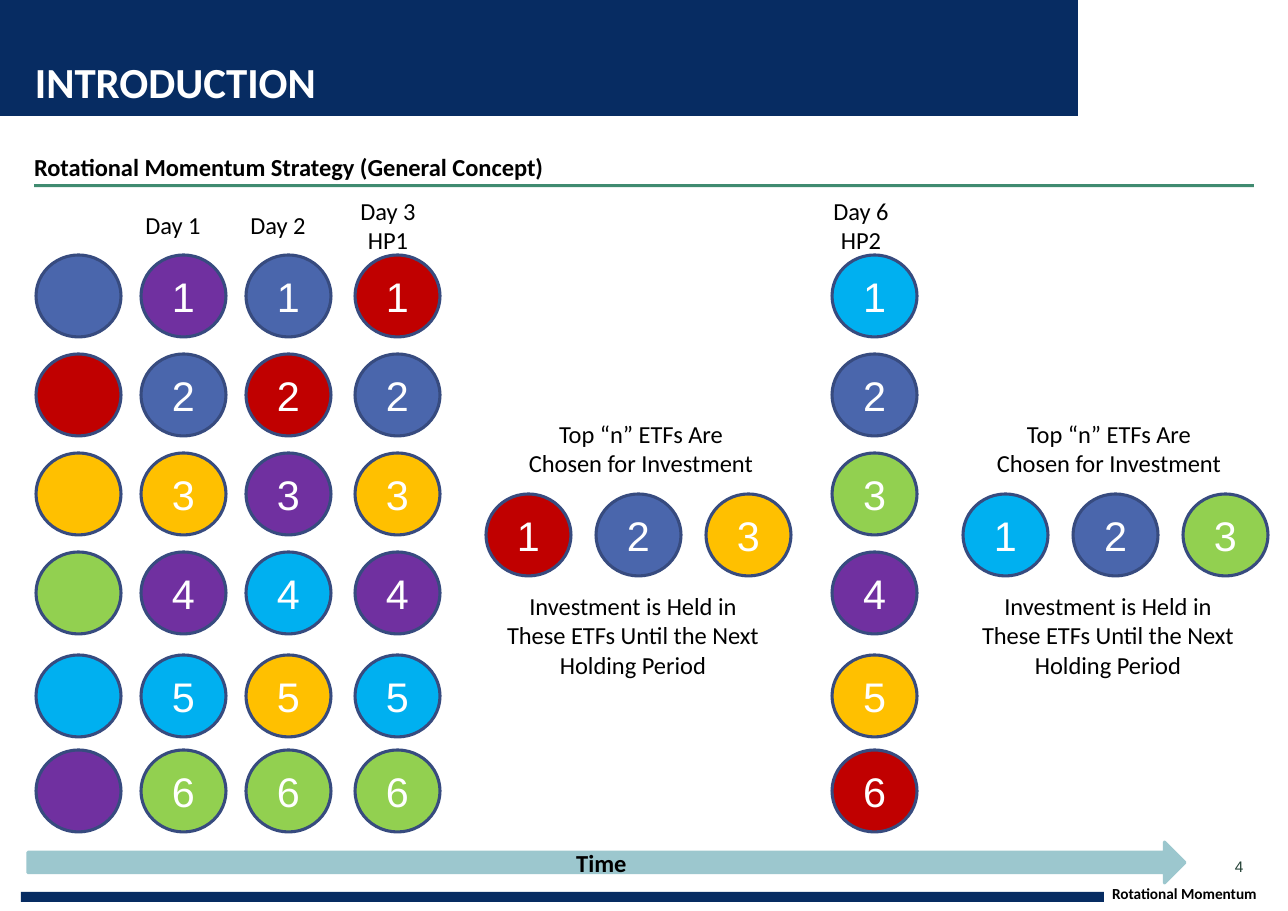
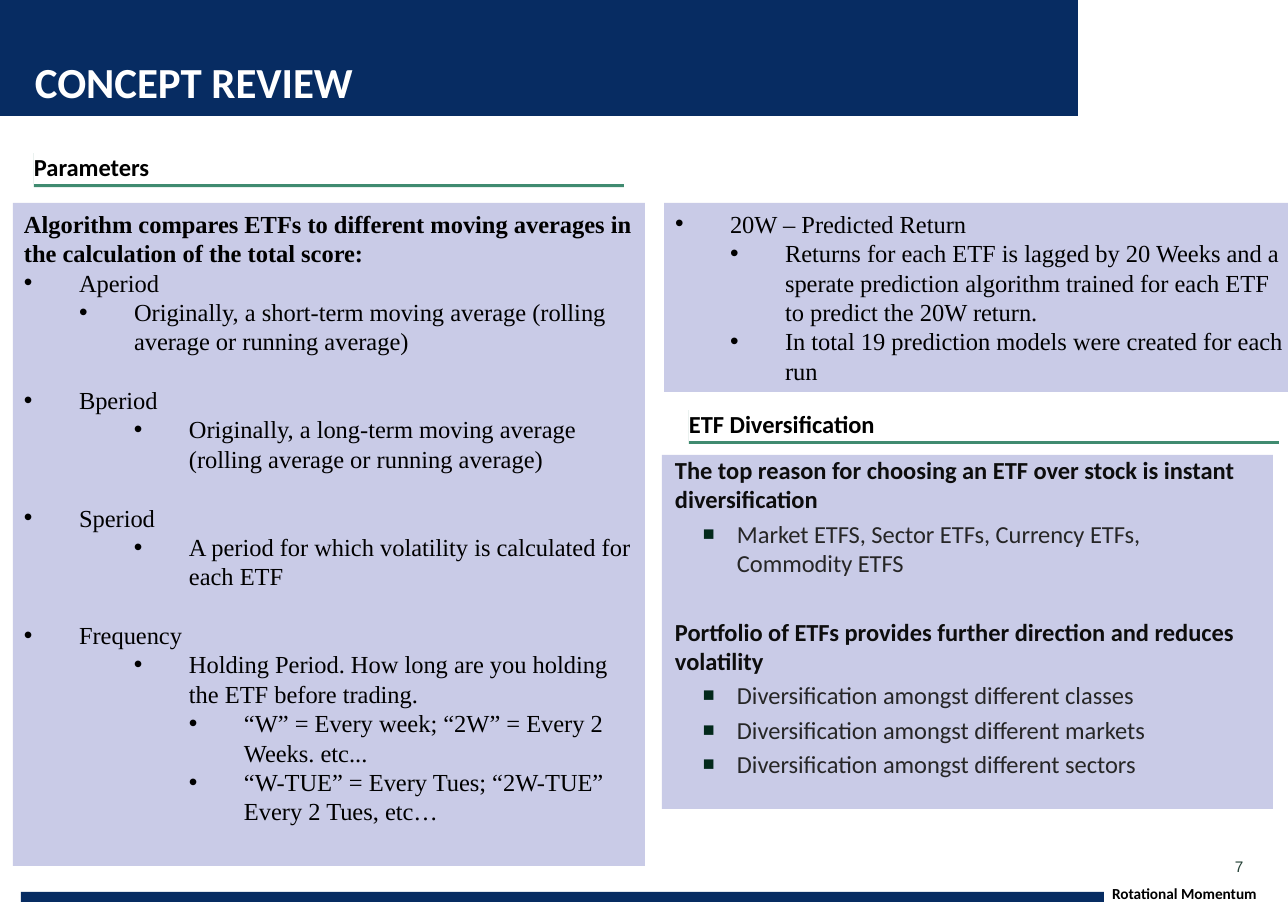
import pptx
import pptx.dml.color
import pptx.enum.shapes
import pptx.enum.text
import pptx.oxml
import pptx.oxml.ns
import pptx.util

PX = 8298  # EMU in one px
SHAPE = pptx.enum.shapes.MSO_SHAPE
ALIGN = pptx.enum.text.PP_ALIGN
ANCHOR = pptx.enum.text.MSO_ANCHOR

COLOURS = {
    "navy": "072C62", "white": "FFFFFF", "black": "000000", "rule": "408B70",
    "page number": "234035", "panel": "C9CBE7", "arrow": "9CC7CE",
    "outline": "374B7F", "strong": "0D0D0D", "soft": "262626", "square": "02291B",
    "blue": "4A66AC", "red": "C00000", "yellow": "FFC000",
    "green": "92D050", "cyan": "00B0F0", "purple": "7030A0",
}

CIRCLE_WIDTH, CIRCLE_HEIGHT = 85, 82
ROW_TOPS = (255, 354, 453, 552, 655, 750)
PICK_TOP, PICK_STEP = 494, 110
SERIF_LINE = 19.2
INDENT = 55


def px(length):
    return pptx.util.Emu(length * PX)


def rgb(name):
    return pptx.dml.color.RGBColor.from_string(COLOURS[name])


def add_bullet(para, mark, colour, percent):
    properties = para._p.get_or_add_pPr()
    namespace = pptx.oxml.ns.nsdecls("a")
    for xml in (
        f'<a:buClr {namespace}><a:srgbClr val="{COLOURS[colour]}"/></a:buClr>',
        f'<a:buSzPct {namespace} val="{percent * 1000}"/>',
        f'<a:buFont {namespace} typeface="Arial"/>',
        f'<a:buChar {namespace} char="{mark}"/>',
    ):
        properties.append(pptx.oxml.parse_xml(xml))


def write(box, text, *, size=16, font="Calibri", colour="black", bold=False,
          align=ALIGN.LEFT, before=0, line=None, left=0, hang=0,
          bullet=None, bullet_colour="black", bullet_percent=100):
    """Add one paragraph; the first call fills the paragraph already there."""
    frame = box.text_frame
    para = frame.add_paragraph() if frame.text else frame.paragraphs[0]
    if bullet:
        add_bullet(para, bullet, bullet_colour, bullet_percent)
    properties = para._p.get_or_add_pPr()
    properties.set("marL", str(px(left)))
    properties.set("indent", str(px(-hang)))
    para.alignment = align
    para.space_before = pptx.util.Pt(before)
    if line:
        para.line_spacing = line
    span = para.add_run()
    span.text = text
    span.font.size = pptx.util.Pt(size)
    span.font.name = font
    span.font.bold = bold
    span.font.color.rgb = rgb(colour)


def set_frame(box, inset, anchor, wrap=True):
    frame = box.text_frame
    frame.word_wrap = wrap
    frame.vertical_anchor = anchor
    (frame.margin_left, frame.margin_top,
     frame.margin_right, frame.margin_bottom) = map(px, inset)


def add_box(page, left, top, width, height, *, inset=(0, 0, 0, 0),
            anchor=ANCHOR.TOP, wrap=True):
    box = page.shapes.add_textbox(*map(px, (left, top, width, height)))
    set_frame(box, inset, anchor, wrap)
    return box


def add_figure(page, kind, left, top, width, height, fill, *, line=None,
               inset=(0, 0, 0, 0), anchor=ANCHOR.MIDDLE):
    figure = page.shapes.add_shape(kind, *map(px, (left, top, width, height)))
    figure.shadow.inherit = False
    figure.fill.solid()
    figure.fill.fore_color.rgb = rgb(fill)
    if line:
        figure.line.color.rgb = rgb(line)
        figure.line.width = pptx.util.Pt(2)
    else:
        figure.line.fill.background()
    set_frame(figure, inset, anchor)
    return figure


def add_page(deck, title, number):
    """Add a blank page with the band, title, footer and page number."""
    page = deck.slides.add_slide(deck.slide_layouts[6])
    add_figure(page, SHAPE.RECTANGLE, 0, 0, 1078, 116, "navy")
    add_figure(page, SHAPE.RECTANGLE, 21, 892, 1083, 10, "navy")
    footer = add_box(page, 1112, 884, 176, 19, anchor=ANCHOR.BOTTOM)
    write(footer, "Rotational Momentum", size=10, bold=True)
    heading = add_box(page, 35, 55, 1040, 52, anchor=ANCHOR.BOTTOM)
    write(heading, title, size=28, bold=True, colour="white")
    corner = add_box(page, 1235, 857, 19, 19, anchor=ANCHOR.MIDDLE, wrap=False)
    write(corner, str(number), size=10, font="Arial", colour="page number")
    return page


def add_heading(page, text, left, top, width):
    """Add a section heading whose hard shadow forms the green rule."""
    heading = add_figure(page, SHAPE.RECTANGLE, left, top, width, 34, "white",
                         inset=(0, 0, 0, 3), anchor=ANCHOR.BOTTOM)
    effects = heading._element.spPr.find(pptx.oxml.ns.qn("a:effectLst"))
    effects.append(pptx.oxml.parse_xml(
        f'<a:outerShdw {pptx.oxml.ns.nsdecls("a")} dist="25400" dir="5400000" '
        f'algn="ctr" rotWithShape="0"><a:srgbClr val="{COLOURS["rule"]}"/></a:outerShdw>'))
    write(heading, text, bold=True, line=1.1)


def add_circle(page, left, top, fill, rank=None):
    circle = add_figure(page, SHAPE.OVAL, left, top, CIRCLE_WIDTH, CIRCLE_HEIGHT,
                        fill, line="outline")
    if rank:
        write(circle, str(rank), size=27, font="Arial", colour="white",
              align=ALIGN.CENTER)


def add_ranking(page, left, fills, numbered=True):
    for rank, (top, fill) in enumerate(zip(ROW_TOPS, fills), 1):
        add_circle(page, left, top, fill, rank if numbered else None)


def add_caption(page, centre, top, lines):
    width = 284
    box = add_box(page, centre - width // 2, top, width, 11 + 30 * len(lines),
                  inset=(11, 6, 11, 6), wrap=False)
    for text in lines:
        write(box, text, align=ALIGN.CENTER)


def add_picks(page, left, fills, chosen_centre, held_centre):
    """Show the three best funds between their two captions."""
    for place, fill in enumerate(fills[:3]):
        add_circle(page, left + place * PICK_STEP, PICK_TOP, fill, place + 1)
    add_caption(page, chosen_centre, 413,
                ("Top “n” ETFs Are", "Chosen for Investment"))
    add_caption(page, held_centre, 585,
                ("Investment is Held in", "These ETFs Until the Next", "Holding Period"))


def add_panel(page, left, top, width, height, inset):
    return add_figure(page, SHAPE.RECTANGLE, left, top, width, height, "panel",
                      inset=inset, anchor=ANCHOR.TOP)


def write_outline(panel, items):
    """Write (depth, text) items in serif; depth 0 is a bold lead.

    A depth 1 item after deeper ones starts a group, set off by one line.
    """
    previous = 0
    for depth, text in items:
        write(panel, text, font="Times New Roman", bold=depth == 0,
              line=pptx.util.Pt(SERIF_LINE),
              before=SERIF_LINE if depth == 1 and previous > 1 else 0,
              left=depth * INDENT, hang=INDENT if depth else 0,
              bullet="•" if depth else None)
        previous = depth


def write_reasons(panel, reasons):
    for number, (lead, points) in enumerate(reasons):
        write(panel, lead, bold=True, colour="strong", before=25.8 if number else 0)
        for point in points:
            write(panel, point, colour="soft", before=3.2, left=62, hang=34,
                  bullet="■", bullet_colour="square", bullet_percent=80)


def build_introduction(deck):
    page = add_page(deck, "INTRODUCTION", 4)
    add_heading(page, "Rotational Momentum Strategy (General Concept)", 34, 150, 1220)
    funds = ("blue", "red", "yellow", "green", "cyan", "purple")
    day_1 = ("purple", "blue", "yellow", "purple", "cyan", "green")
    day_2 = ("blue", "red", "purple", "cyan", "yellow", "green")
    day_3 = ("red", "blue", "yellow", "purple", "cyan", "green")
    day_6 = ("cyan", "blue", "green", "purple", "yellow", "red")
    add_ranking(page, 36, funds, numbered=False)
    for left, fills, centre, top, label in (
        (141, day_1, 173, 204, ("Day 1",)),
        (246, day_2, 278, 204, ("Day 2",)),
        (355, day_3, 388, 190, ("Day 3", "HP1")),
        (832, day_6, 861, 190, ("Day 6", "HP2")),
    ):
        add_ranking(page, left, fills)
        add_caption(page, centre, top, label)
    add_picks(page, 486, day_3, 641, 633)
    add_picks(page, 963, day_6, 1109, 1108)
    arrow = add_figure(page, SHAPE.RIGHT_ARROW, 28, 842, 1157, 41, "arrow", line="arrow")
    write(arrow, "Time", bold=True, align=ALIGN.CENTER)


def build_review(deck):
    page = add_page(deck, "CONCEPT REVIEW", 7)
    add_heading(page, "Parameters", 34, 150, 590)
    add_heading(page, "ETF Diversification", 689, 407, 590)
    write_outline(add_panel(page, 13, 203, 632, 663, (11, 6, 11, 6)), (
        (0, "Algorithm compares ETFs to different moving averages in the "
            "calculation of the total score:"),
        (1, "Aperiod"),
        (2, "Originally, a short-term moving average (rolling average or running average)"),
        (1, "Bperiod"),
        (3, "Originally, a long-term moving average (rolling average or running average)"),
        (1, "Speriod"),
        (3, "A period for which volatility is calculated for each ETF"),
        (1, "Frequency"),
        (3, "Holding Period. How long are you holding the ETF before trading."),
        (4, "“W” = Every week; “2W” = Every 2 Weeks. etc..."),
        (4, "“W-TUE” = Every Tues; “2W-TUE” Every 2 Tues, etc…"),
    ))
    write_outline(add_panel(page, 664, 203, 624, 189, (11, 6, 3, 6)), (
        (1, "20W – Predicted Return"),
        (2, "Returns for each ETF is lagged by 20 Weeks and a sperate prediction "
            "algorithm trained for each ETF to predict the 20W return."),
        (2, "In total 19 prediction models were created for each run"),
    ))
    write_reasons(add_panel(page, 662, 455, 611, 354, (13, 0, 13, 0)), (
        ("The top reason for choosing an ETF over stock is instant diversification",
         ("Market ETFS, Sector ETFs, Currency ETFs, Commodity ETFS",)),
        ("Portfolio of ETFs provides further direction and reduces volatility",
         tuple(f"Diversification amongst different {kind}"
               for kind in ("classes", "markets", "sectors"))),
    ))


def main():
    deck = pptx.Presentation()
    deck.slide_width, deck.slide_height = px(1288), px(911)
    build_introduction(deck)
    build_review(deck)
    deck.save("out.pptx")


if __name__ == "__main__":
    main()
